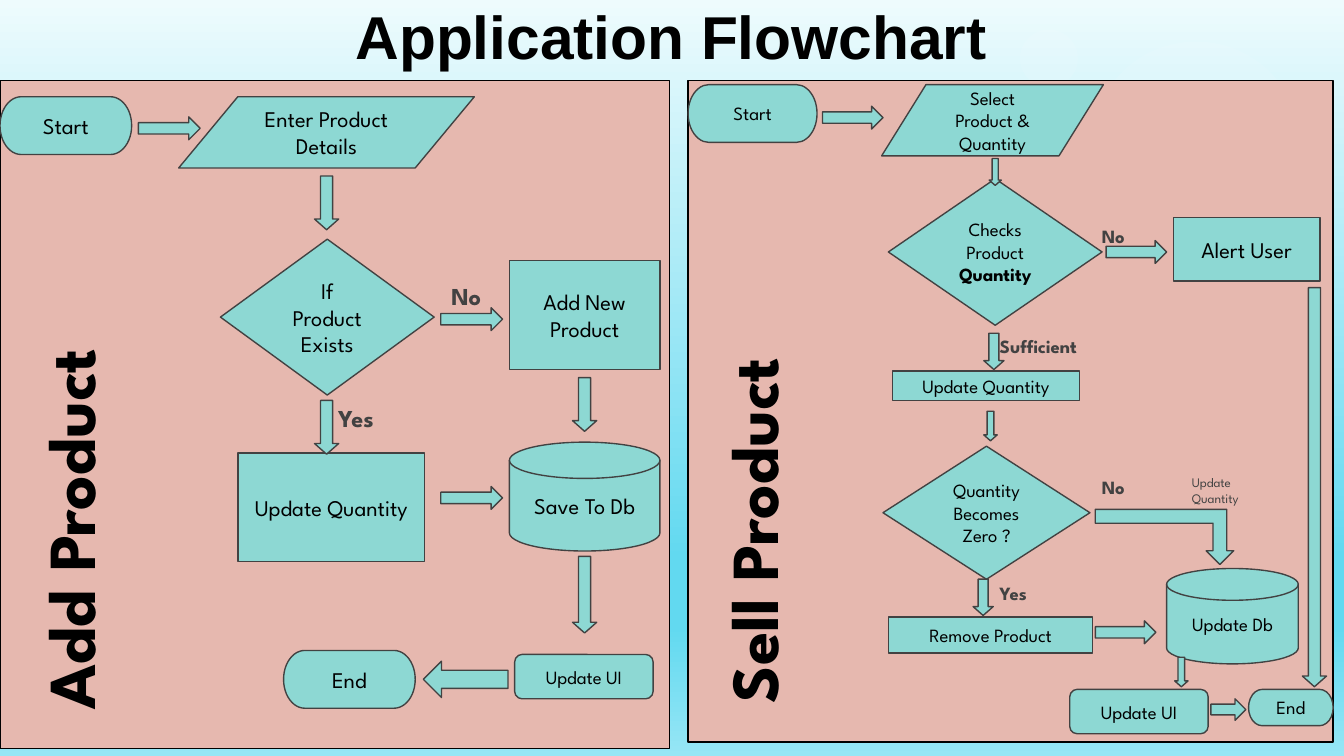
from copy import deepcopy
from lxml.etree import SubElement
from pptx import Presentation
from pptx.dml.color import RGBColor
from pptx.enum.shapes import MSO_SHAPE as Kind
from pptx.enum.text import MSO_ANCHOR, MSO_AUTO_SIZE, PP_ALIGN
from pptx.oxml.ns import qn
from pptx.util import Cm, Pt

FACE = "League Spartan"
TEAL, GREY, PINK, BLACK = "8DD8D3", "424242", "E6B8AF", "000000"
PILL, SLANT = Kind.FLOWCHART_TERMINATOR, Kind.FLOWCHART_DATA
TEST, STEP = Kind.FLOWCHART_DECISION, Kind.FLOWCHART_PROCESS
STORE, ROUND = Kind.FLOWCHART_MAGNETIC_DISK, Kind.FLOWCHART_ALTERNATE_PROCESS
RIGHT, DOWN, LEFT = Kind.RIGHT_ARROW, Kind.DOWN_ARROW, Kind.LEFT_ARROW

NODES = [
    (PILL, 0, 0.72, 0.98, 0.43, "Start", 12),
    (SLANT, 1.33, 0.72, 2.2, 0.53, "Enter Product Details", 12),
    (TEST, 1.64, 1.78, 1.59, 1.16, "If Product Exists", 12),
    (STEP, 3.79, 1.94, 1.12, 0.81, "Add New Product", 12),
    (STEP, 1.77, 3.37, 1.39, 0.81, "Update Quantity", 12),
    (STORE, 3.79, 3.29, 1.12, 0.81, "Save To Db", 12),
    (PILL, 2.11, 4.84, 0.98, 0.43, "End", 12),
    (ROUND, 3.83, 4.87, 1.03, 0.33, "Update UI", 10),
    (PILL, 5.12, 0.63, 0.96, 0.43, "Start", 10),
    (SLANT, 6.56, 0.63, 1.65, 0.53, "Select Product & Quantity", 10),
    (STEP, 8.73, 1.62, 1.09, 0.47, "Alert User", 12),
    (STEP, 6.64, 2.76, 1.39, 0.22, "Update Quantity", 10),
    (TEST, 6.57, 3.32, 1.54, 0.99, "Quantity Becomes Zero ?", 10),
    (STEP, 6.61, 4.59, 1.52, 0.27, "Remove Product", 10),
    (STORE, 8.68, 4.23, 0.98, 0.71, "Update Db", 10),
    (ROUND, 7.96, 5.13, 1.03, 0.33, "Update UI", 10),
    (PILL, 9.29, 5.13, 0.63, 0.27, "End", 10),
]
ARROWS = [
    (RIGHT, 1.03, 0.87, 0.46, 0.17),
    (RIGHT, 3.28, 2.29, 0.46, 0.17),
    (RIGHT, 3.28, 3.62, 0.46, 0.17),
    (DOWN, 2.34, 1.31, 0.18, 0.4),
    (DOWN, 2.34, 2.98, 0.18, 0.4),
    (DOWN, 4.26, 2.81, 0.18, 0.4),
    (DOWN, 4.26, 4.14, 0.18, 0.57),
    (LEFT, 3.15, 4.92, 0.63, 0.27),
    (RIGHT, 6.12, 0.79, 0.45, 0.17),
    (RIGHT, 8.23, 1.79, 0.45, 0.17),
    (RIGHT, 8.15, 4.62, 0.45, 0.17),
    (RIGHT, 9.01, 5.2, 0.26, 0.16),
    (DOWN, 7.36, 1.18, 0.09, 0.2),
    (DOWN, 7.32, 2.48, 0.15, 0.27),
    (DOWN, 7.32, 3.06, 0.1, 0.22),
    (DOWN, 7.24, 4.31, 0.15, 0.27),
    (DOWN, 8.74, 4.89, 0.1, 0.22),
    (DOWN, 9.69, 2.14, 0.18, 2.97),
]
LABELS = [
    (3.26, 1.99, 0.63, 0.27, "No", 13),
    (2.42, 2.9, 0.63, 0.27, "Yes", 13),
    (8.1, 1.57, 0.54, 0.22, "No", 10),
    (7.34, 2.39, 0.92, 0.27, "Sufficient", 10),
    (7.34, 4.23, 0.5, 0.27, "Yes", 10),
    (8.1, 3.46, 0.54, 0.16, "No", 10),
]


def tint(text):
    return RGBColor.from_string(text)


def span(*sides):
    return [Cm(2.54 * side) for side in sides]


def style(run, size, color, bold=False, face=FACE):
    font = run.font
    font.name, font.size, font.bold = face, Pt(size), bold
    font.color.rgb = tint(color)


def write(shape, text, size, color=BLACK, bold=False, face=FACE,
          align=PP_ALIGN.CENTER, anchor=MSO_ANCHOR.MIDDLE):
    frame = shape.text_frame
    frame.text = text
    frame.word_wrap = True
    frame.auto_size = MSO_AUTO_SIZE.NONE
    frame.vertical_anchor = anchor
    frame.margin_left, frame.margin_right = span(0.1, 0.1)
    frame.margin_top, frame.margin_bottom = span(0.1, 0.1)
    line = frame.paragraphs[0]
    line.alignment = align
    style(line.runs[0], size, color, bold, face)
    return line


def block(slide, kind, box, fill=TEAL, edge=GREY):
    shape = slide.shapes.add_shape(kind, *span(*box))
    shape.shadow.inherit = False
    shape.fill.solid()
    shape.fill.fore_color.rgb = tint(fill)
    if edge:
        shape.line.color.rgb = tint(edge)
        shape.line.width = Pt(0.75)
    else:
        shape.line.fill.background()
    return shape


def node(slide, kind, x, y, w, h, text, size):
    return write(block(slide, kind, (x, y, w, h)), text, size)


def arrow(slide, kind, *box):
    shape = block(slide, kind, box)
    if kind == DOWN:
        shape.adjustments[1] = 0.44
    return shape


def label(slide, x, y, w, h, text, size, color=GREY, turn=0):
    shape = slide.shapes.add_textbox(*span(x, y, w, h))
    shape.rotation = turn
    write(shape, text, size, color, True,
          align=PP_ALIGN.LEFT, anchor=MSO_ANCHOR.TOP)


def bubble(slide, x, y, size):
    shape = block(slide, Kind.OVAL, (x, y, size, size), "FFFFFF", None)
    color = shape.element.spPr.find(".//" + qn("a:srgbClr"))
    SubElement(color, qn("a:alpha")).set("val", "9000")


def backdrop(slide):
    fill = slide.background.fill
    fill.gradient()
    fill.gradient_angle = 270
    stops = slide.element.find(".//" + qn("a:gsLst"))
    for stop in list(stops):
        stops.append(deepcopy(stop))
    tones = [(0, "EEFBFD"), (0.74, "62D9F0"), (0.83, "62D9F0"), (1, "96E6F5")]
    for stop, (place, color) in zip(fill.gradient_stops, tones):
        stop.position = place
        stop.color.rgb = tint(color)


def heading(slide):
    title = slide.shapes.title
    title.left, title.top, title.width, title.height = span(2.19, 0, 5.61, 0.53)
    write(title, "Application Flowchart", 32.4, bold=True, face="Arial")


def detour(slide):
    note = block(slide, Kind.RECTANGLE, (8.77, 3.43, 0.68, 0.44), PINK, None)
    write(note, "Update Quantity", 7, GREY,
          align=PP_ALIGN.LEFT, anchor=MSO_ANCHOR.TOP)
    bend = arrow(slide, Kind.BENT_UP_ARROW, 8.15, 3.79, 1.03, 0.41)
    bend.rotation = 180
    bend.element.spPr.find(qn("a:xfrm")).set("flipH", "1")


def main():
    deck = Presentation()
    deck.slide_width = Cm(25.4)
    deck.slide_height = deck.slide_width * 9 // 16
    slide = deck.slides.add_slide(deck.slide_layouts[5])
    backdrop(slide)
    heading(slide)
    for spot in [(8.12, 0.31, 1.56), (7.59, 0.22, 0.43)]:
        bubble(slide, *spot)
    for box in [(5.12, 0.6, 4.8, 4.92), (0, 0.6, 4.98, 4.97)]:
        block(slide, Kind.RECTANGLE, box, PINK, BLACK)
    for item in NODES:
        node(slide, *item)
    check = node(slide, TEST, 6.61, 1.33, 1.59, 1.09, "Checks Product ", 10)
    word = check.add_run()
    word.text = "Quantity"
    style(word, 10, BLACK, True)
    detour(slide)
    for item in ARROWS:
        arrow(slide, *item)
    for item in LABELS:
        label(slide, *item)
    label(slide, -1.11, 3.39, 3.21, 0.77, "Add Product", 36, BLACK, 270)
    label(slide, 3.97, 3.34, 3.21, 0.77, "Sell Product", 36, BLACK, 270)
    deck.save("out.pptx")


if __name__ == "__main__":
    main()
